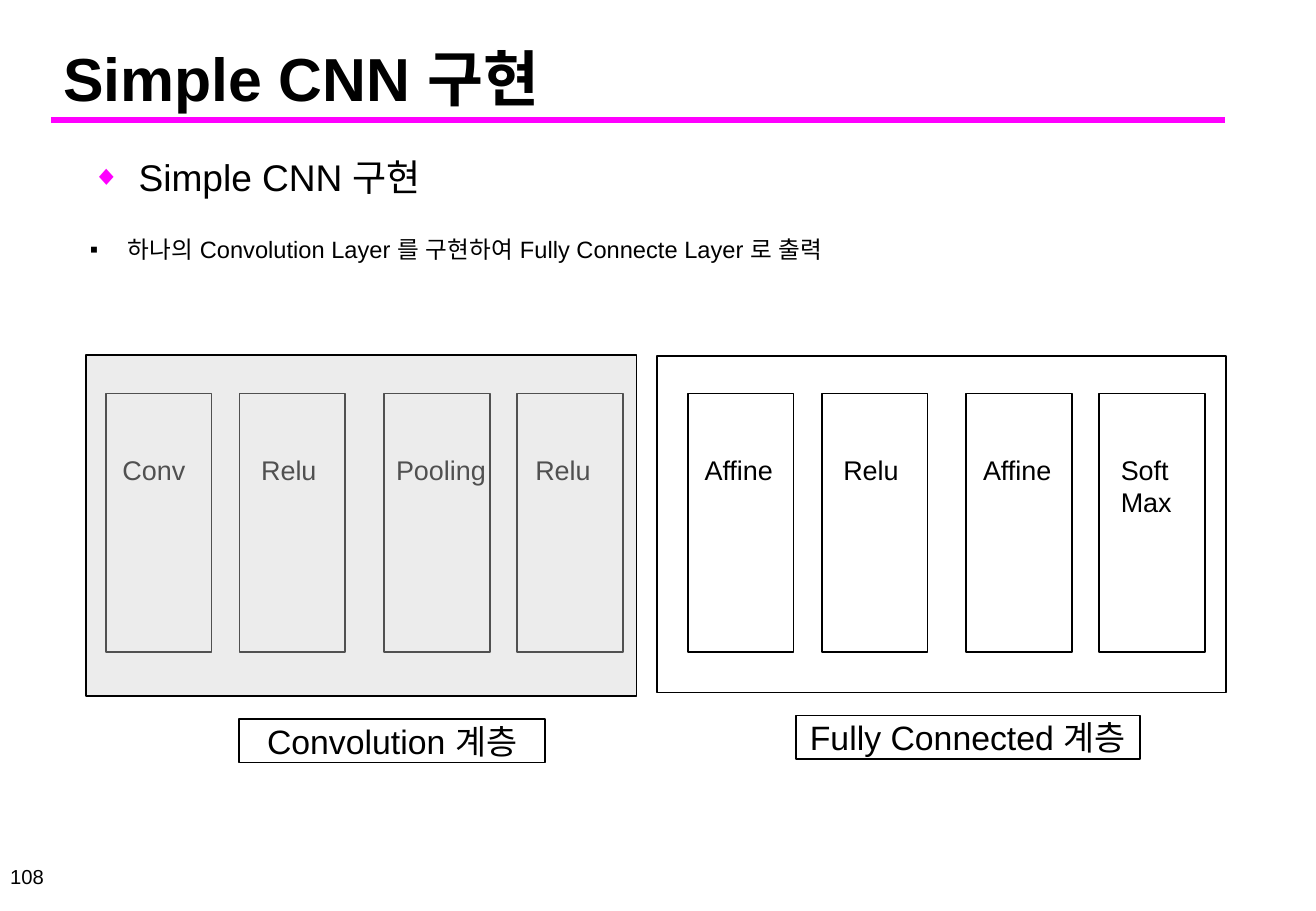
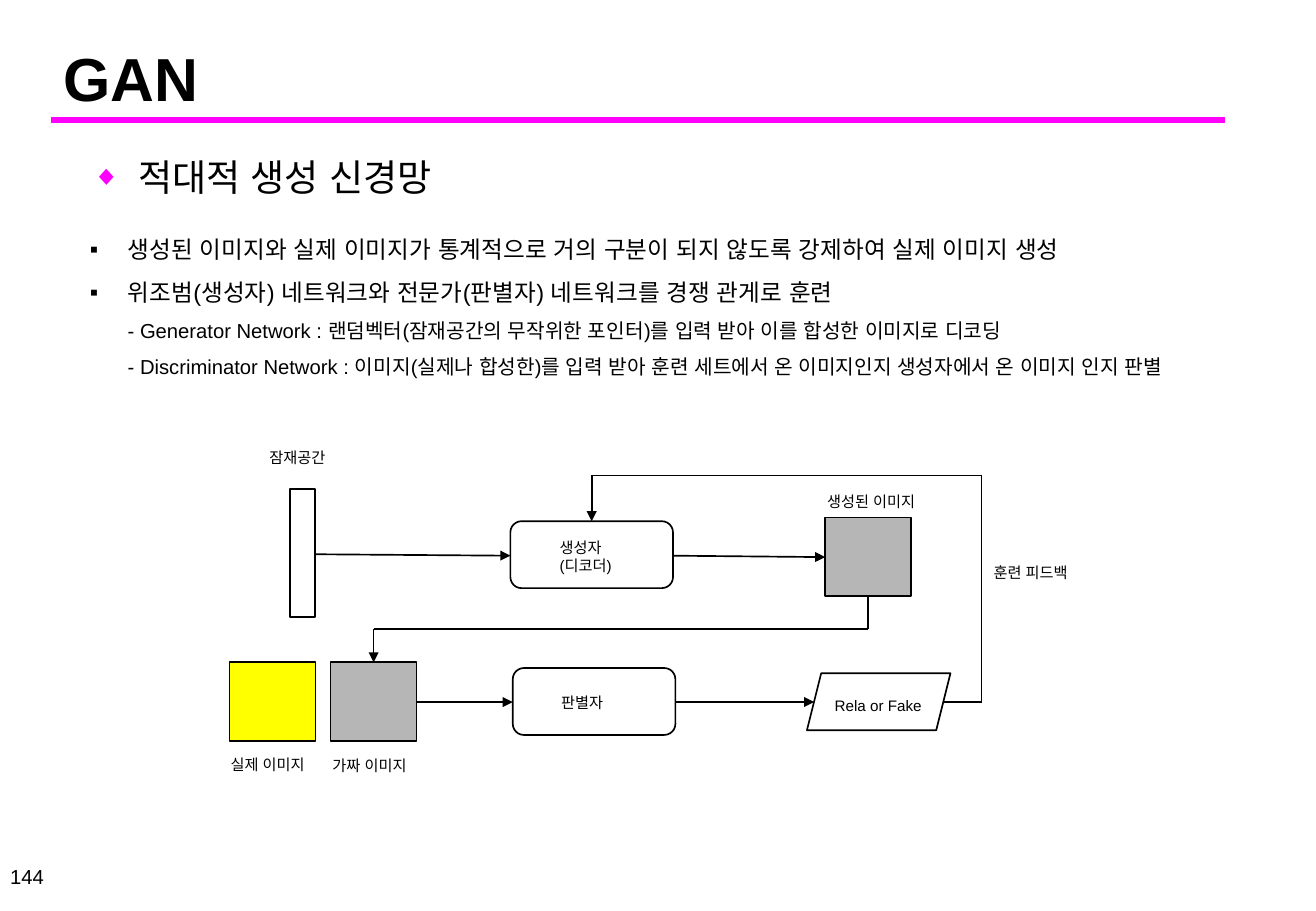
from itertools import pairwise

from lxml.etree import SubElement
from pptx import Presentation
from pptx.dml.color import RGBColor
from pptx.enum.shapes import MSO_CONNECTOR as CONNECTOR, MSO_SHAPE as SHAPE
from pptx.enum.text import MSO_ANCHOR as ANCHOR, PP_ALIGN as ALIGN
from pptx.oxml.ns import qn
from pptx.util import Cm, Pt

BLACK = RGBColor(0x00, 0x00, 0x00)
MAGENTA = RGBColor(0xFF, 0x00, 0xFF)
YELLOW = RGBColor(0xFF, 0xFF, 0x00)
GRAY = RGBColor(0xB6, 0xB6, 0xB6)
VEIL = RGBColor(0xCF, 0xCF, 0xCF)

TYPEFACE = "Arial"
FONT = {"name": TYPEFACE, "bold": False}
TITLE = FONT | {"size": Pt(36), "bold": True}
HEADING = FONT | {"size": Pt(22)}
CAPTION = FONT | {"size": Pt(20)}
LAYER = FONT | {"size": Pt(16)}
POINT = FONT | {"size": Pt(14)}
DETAIL = FONT | {"size": Pt(12)}
LABEL = FONT | {"size": Pt(9)}

BAR_OFFSETS = (0, 2.8, 5.82, 8.6)
BAR_TOP, BAR_WIDTH, BAR_HEIGHT = 8.23, 2.21, 5.41


def apply_format(target, values):
    """Set every attribute of a format dict on the target."""
    for name, value in values.items():
        setattr(target, name, value)


def write_lines(paragraph, lines):
    """Write (text, style) lines into a paragraph, parted by line breaks."""
    for number, (text, style) in enumerate(lines):
        if number:
            paragraph.add_line_break()
        run = paragraph.add_run()
        run.text = text
        apply_format(run.font, style)
        run.font.color.rgb = BLACK
        SubElement(run._r.get_or_add_rPr(), qn("a:ea"), typeface=TYPEFACE)


def add_text(slide, box, paragraphs, frame_format=None, paragraph_format=None):
    """Add a text box holding one paragraph for each list of lines."""
    frame = slide.shapes.add_textbox(*map(Cm, box)).text_frame
    apply_format(frame, {"word_wrap": True} | (frame_format or {}))
    for number, lines in enumerate(paragraphs):
        paragraph = frame.add_paragraph() if number else frame.paragraphs[0]
        apply_format(paragraph, paragraph_format or {})
        write_lines(paragraph, lines)
    return frame.paragraphs


def add_bullet(paragraph, symbol, indent, color=None, percent=None):
    """Give a paragraph a hanging bullet."""
    properties = paragraph._p.get_or_add_pPr()
    properties.set("marL", str(Cm(indent)))
    properties.set("indent", str(-Cm(indent)))
    if color is not None:
        holder = SubElement(properties, qn("a:buClr"))
        SubElement(holder, qn("a:srgbClr"), val=str(color))
    if percent:
        SubElement(properties, qn("a:buSzPct"), val=str(percent * 1000))
    SubElement(properties, qn("a:buFont"), typeface=TYPEFACE)
    SubElement(properties, qn("a:buChar"), char=symbol)


def add_box(slide, kind, box, fill=None, opacity=None):
    """Add a black-outlined shape, empty or filled."""
    shape = slide.shapes.add_shape(kind, *map(Cm, box))
    shape.shadow.inherit = False
    shape.line.color.rgb = BLACK
    shape.line.width = Pt(1)
    if fill is None:
        shape.fill.background()
    else:
        shape.fill.solid()
        shape.fill.fore_color.rgb = fill
    if opacity:
        color = shape._element.spPr.find(qn("a:solidFill"))[0]
        SubElement(color, qn("a:alpha"), val=str(opacity * 1000))
    return shape


def add_line(slide, start, end, color=BLACK, width=1, arrow=False):
    """Add a straight line, with an arrowhead at its end if asked."""
    connector = slide.shapes.add_connector(
        CONNECTOR.STRAIGHT, *map(Cm, (*start, *end)))
    connector.line.color.rgb = color
    connector.line.width = Pt(width)
    if arrow:
        SubElement(connector.line._get_or_add_ln(), qn("a:tailEnd"), type="triangle")
    SubElement(connector._element.spPr, qn("a:effectLst"))


def add_route(slide, points):
    """Join points by lines, the last of them an arrow."""
    segments = list(pairwise(points))
    for number, (start, end) in enumerate(segments, 1):
        add_line(slide, start, end, arrow=number == len(segments))


def add_page(presentation, title, number, heading, points):
    """Add a slide with title, rule, page number, heading and bullet points."""
    slide = presentation.slides.add_slide(presentation.slide_layouts[6])
    add_line(slide, (1.07, 2.51), (25.6, 2.51), MAGENTA, 4)
    add_text(slide, (1.07, 0.71, 24.33, 1.8), [[(title, TITLE)]],
             {"vertical_anchor": ANCHOR.BOTTOM})
    add_text(slide, (0, 17.9, 1.17, 0.86), [[(number, DETAIL)]],
             {"vertical_anchor": ANCHOR.MIDDLE, "word_wrap": False, "margin_left": 0},
             {"alignment": ALIGN.RIGHT})
    for paragraph in add_text(slide, (1.68, 2.92, 23.88, 1.4), [[(heading, HEADING)]],
                              paragraph_format={"line_spacing": 1.2}):
        add_bullet(paragraph, "◆", 0.97, MAGENTA, 75)
    for paragraph in add_text(slide, (1.63, 4.5, 24.97, 1.04), points,
                              paragraph_format={"line_spacing": 1.5}):
        add_bullet(paragraph, "▪", 0.79)
    return slide


def add_layer_panel(slide, box, inset, layers, caption, caption_box, veil=None):
    """Add a panel of layer bars with a caption below it."""
    left, top, _, height = box
    for offset, (name, shift) in zip(BAR_OFFSETS, layers):
        bar_left = left + inset + offset
        add_box(slide, SHAPE.RECTANGLE, (bar_left, BAR_TOP, BAR_WIDTH, BAR_HEIGHT))
        add_text(slide, (bar_left + shift, BAR_TOP + 1.12, 2.5, 0.94),
                 [[(line, LAYER) for line in name.split("\n")]])
    add_box(slide, SHAPE.RECTANGLE, box, veil, 39 if veil else None)
    caption_left, caption_width = caption_box
    shape = add_box(slide, SHAPE.RECTANGLE,
                    (left + caption_left, top + height + 0.48, caption_width, 0.91))
    apply_format(shape.text_frame, {"word_wrap": False, "vertical_anchor": ANCHOR.MIDDLE})
    paragraph = shape.text_frame.paragraphs[0]
    paragraph.alignment = ALIGN.CENTER
    write_lines(paragraph, [(caption, CAPTION)])


def add_gan_diagram(slide, left, top):
    """Add the generator and discriminator loop from a top left corner."""
    nodes = (
        (SHAPE.RECTANGLE, (1.27, 0.97, 0.51, 2.69), None),
        (SHAPE.ROUNDED_RECTANGLE, (5.87, 1.65, 3.4, 1.4), None),
        (SHAPE.ROUNDED_RECTANGLE, (5.92, 4.72, 3.4, 1.4), None),
        (SHAPE.RECTANGLE, (12.45, 1.57, 1.8, 1.65), GRAY),
        (SHAPE.RECTANGLE, (0, 4.6, 1.8, 1.65), YELLOW),
        (SHAPE.RECTANGLE, (2.11, 4.6, 1.8, 1.65), GRAY),
        (SHAPE.PARALLELOGRAM, (12.07, 4.83, 3, 1.19), None),
    )
    routes = (
        ((1.78, 2.34), (5.87, 2.37)),
        ((9.27, 2.37), (12.45, 2.4)),
        ((3.91, 5.43), (5.92, 5.43)),
        ((9.32, 5.43), (12.22, 5.43)),
        ((13.35, 3.22), (13.35, 3.91), (3.01, 3.91), (3.01, 4.6)),
        ((14.92, 5.43), (15.72, 5.43), (15.72, 0.69), (7.57, 0.69), (7.57, 1.65)),
    )
    labels = (
        ("생성자\n(디코더)", 6.65, 1.88, 1.8),
        ("판별자", 6.68, 5.13, 1.8),
        ("Rela or Fake", 12.4, 5.18, 2.57),
        ("잠재공간", 0.58, 0, 1.88),
        ("실제 이미지", -0.23, 6.43, 2.24),
        ("가짜 이미지", 1.9, 6.45, 2.24),
        ("훈련 피드백", 15.72, 2.41, 2.24),
        ("생성된 이미지", 12.24, 0.91, 2.69),
    )
    for kind, (x, y, width, height), fill in nodes:
        add_box(slide, kind, (left + x, top + y, width, height), fill)
    for points in routes:
        add_route(slide, [(left + x, top + y) for x, y in points])
    for text, x, y, width in labels:
        add_text(slide, (left + x, top + y, width, 0.64),
                 [[(line, LABEL)] for line in text.split("\n")])


def add_cnn_slide(presentation):
    """Add the slide on a simple CNN."""
    slide = add_page(
        presentation, "Simple CNN 구현", "108", "Simple CNN 구현",
        [[("하나의 Convolution Layer 를 구현하여 Fully Connecte Layer 로 출력", POINT)]])
    add_layer_panel(
        slide, (13.74, 7.44, 11.89, 7.04), 0.64,
        (("Affine", 0.1), ("Relu", 0.2), ("Affine", 0.1), ("Soft\nMax", 0.2)),
        "Fully Connected 계층", (2.9, 7.19))
    add_layer_panel(
        slide, (1.8, 7.42, 11.51, 7.14), 0.41,
        (("Conv", 0.1), ("Relu", 0.2), ("Pooling", 0), ("Relu", 0.13)),
        "Convolution 계층", (3.2, 6.4), VEIL)


def add_gan_slide(presentation):
    """Add the slide on generative adversarial networks."""
    slide = add_page(
        presentation, "GAN", "144", "적대적 생성 신경망",
        [[("생성된 이미지와 실제 이미지가 통계적으로 거의 구분이 되지 않도록 "
           "강제하여 실제 이미지 생성", POINT)],
         [("위조범(생성자) 네트워크와 전문가(판별자) 네트워크를 경쟁 관게로 훈련", POINT),
          ("- Generator Network : 랜덤벡터(잠재공간의 무작위한 포인터)를 입력 받아 "
           "이를 합성한 이미지로 디코딩", DETAIL),
          ("- Discriminator Network : 이미지(실제나 합성한)를 입력 받아 훈련 세트에서 "
           "온 이미지인지 생성자에서 온 이미지 인지 판별", DETAIL)]])
    add_gan_diagram(slide, 4.8, 9.25)


def main():
    """Build and save the presentation."""
    presentation = Presentation()
    apply_format(presentation, {"slide_width": Cm(27.51), "slide_height": Cm(19.05)})
    add_cnn_slide(presentation)
    add_gan_slide(presentation)
    presentation.save("out.pptx")


if __name__ == "__main__":
    main()
